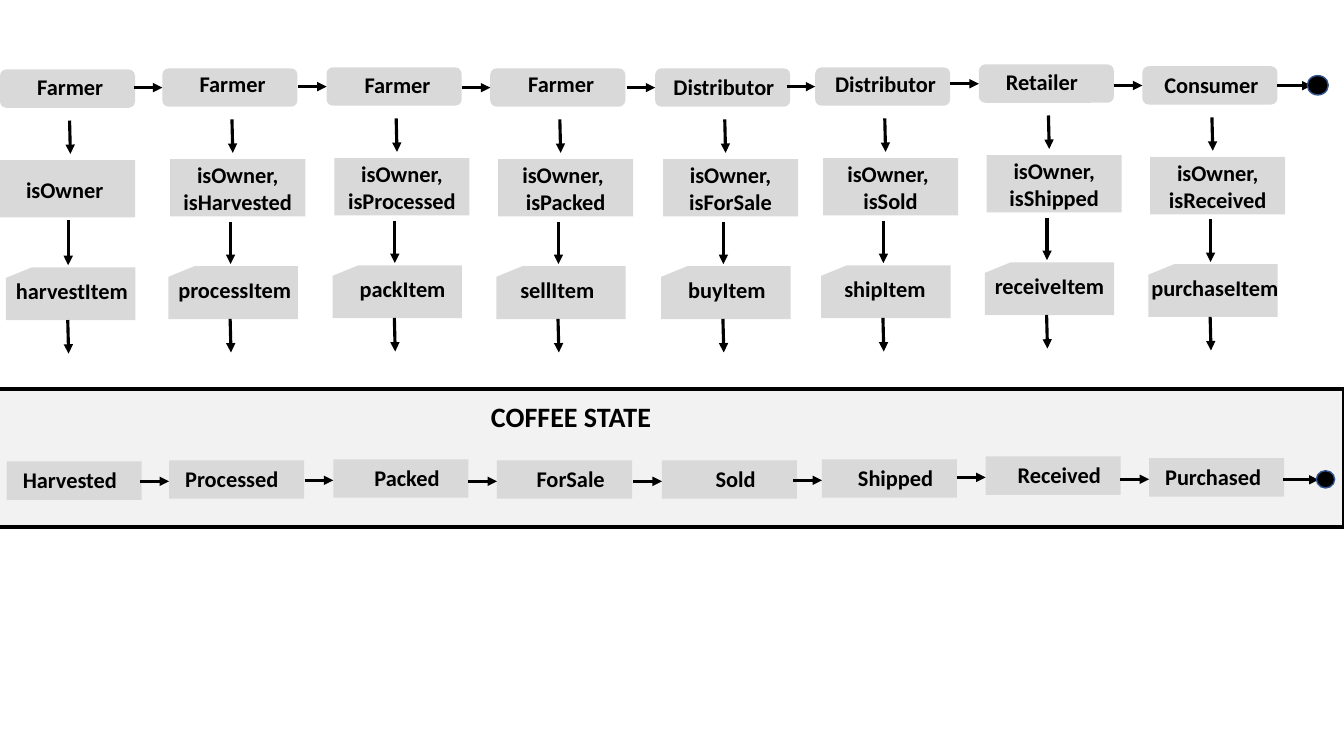
from pptx import Presentation
from pptx.util import Pt
from pptx.dml.color import RGBColor as RGB
from pptx.enum.shapes import MSO_SHAPE as Kind, MSO_CONNECTOR as Link
from pptx.enum.text import PP_ALIGN as Align, MSO_ANCHOR as Anchor
from pptx.oxml.ns import qn
from lxml.etree import SubElement as Sub

# Content: role, guard, action, state
steps = [
    ("Farmer", "isOwner", "harvestItem", "Harvested"),
    ("Farmer", "isOwner, isHarvested", "processItem", "Processed"),
    ("Farmer", "isOwner, isProcessed", "packItem", "Packed"),
    ("Farmer", "isOwner, \nisPacked", "sellItem", "ForSale"),
    ("Distributor", "isOwner, isForSale", "buyItem", "Sold"),
    ("Distributor", "isOwner, \nisSold", "shipItem", "Shipped"),
    ("Retailer", "isOwner, isShipped", "receiveItem", "Received"),
    ("Consumer", "isOwner, isReceived", "purchaseItem", "Purchased"),
]
title = "COFFEE STATE"

# Placement per step: column origin, role text shift, action text shift
spots = [
    ((0, 49.6), (19.5, -0.7), 4.3),
    ((116, 48.8), (19.5, -2), 4.3),
    ((233.3, 48.1), (20, -0.7), 16.5),
    ((350.2, 48.8), (20, -2), 14.4),
    ((468, 48.8), (6, 0), 16.5),
    ((582.3, 48.1), (7.2, -1.4), 13.7),
    ((699.2, 46), (12.2, -0.7), 4.3),
    ((816, 47.3), (8.6, 0), -0.7),
]

theme = dict(font="Calibri", ink="000000", box="D9D9D9", panel="F2F2F2",
             rim="325491", body=16, head=20, rule=2.25, frame=3, edge=1)
wide, tall = 96.5, 27.4

deck = Presentation()
deck.slide_width, deck.slide_height = Pt(960), Pt(540)
page = deck.slides.add_slide(deck.slide_layouts[6])
items = page.shapes


def color(name):
    return RGB.from_string(theme[name])


def put(kind, x, y, w, h, fill="box", line=None, size=0):
    part = items.add_shape(kind, Pt(x), Pt(y), Pt(w), Pt(h))
    part.shadow.inherit = False
    part.fill.solid()
    part.fill.fore_color.rgb = color(fill)
    if line:
        part.line.color.rgb = color(line)
        part.line.width = Pt(size)
    else:
        part.line.fill.background()


def write(text, x, y, w, h, align=Align.LEFT, size="body", anchor=Anchor.TOP):
    frame = items.add_textbox(Pt(x), Pt(y), Pt(w), Pt(h)).text_frame
    frame.word_wrap = True
    frame.vertical_anchor = anchor
    frame.text = text
    look = dict(name=theme["font"], size=Pt(theme[size]), bold=True)
    for para in frame.paragraphs:
        para.alignment = align
        font = para.runs[0].font
        for key, value in look.items():
            setattr(font, key, value)
        font.color.rgb = color("ink")


def arrow(x1, y1, x2, y2):
    link = items.add_connector(Link.STRAIGHT, Pt(x1), Pt(y1), Pt(x2), Pt(y2))
    link.line.color.rgb = color("ink")
    link.line.width = Pt(theme["rule"])
    Sub(link.line._get_or_add_ln(), qn("a:tailEnd"), type="triangle")
    Sub(link._element.spPr, qn("a:effectLst"))


# State panel, running off the left edge
put(Kind.RECTANGLE, -72, 278, 1032, 98.5, "panel", "ink", theme["frame"])
write(title, 324.7, 281.5, 166.3, 31.7, Align.CENTER, "head")

# One column per step
for n, (step, spot) in enumerate(zip(steps, spots)):
    role, guard, action, state = step
    (x, y), (dx, dy), shift = spot
    first = n == 0
    inset = 0 if first else 5.6

    # Boxes
    put(Kind.ROUNDED_RECTANGLE, x, y, wide, tall)
    put(Kind.RECTANGLE, x + inset, y + 64.8, wide, 41)
    put(Kind.FLOWCHART_CARD, x + 4.3, y + 141.4, 92.4, 37.7)
    put(Kind.RECTANGLE, x + 4.8, y + 280, wide, tall)

    # Words
    write(role, x + dx, y + dy, wide, 26.6)
    write(guard, x + (-2 if first else inset), y + 62.6, wide, 46,
          Align.CENTER, anchor=Anchor.MIDDLE)
    write(action, x + shift, y + 145, 117.4, 26.6)
    side = Align.LEFT if n in (0, 1, 7) else Align.CENTER
    write(state, x + 9.2, y + 280, wide, 26.6, side)

    # Arrows down, then arrows in from the step before
    arrow(x + 49.7, y + 36.5, x + 50.3, y + 60.4)
    arrow(x + 48.7, y + (107.5 if first else 109.5), x + 48.7, y + 139.8)
    arrow(x + 48.4, y + 179, x + 49, y + 203)
    if not first:
        arrow(x - 20.3, y + 13.8, x, y + 13.8)
        arrow(x - 15.7, y + 295, x + 4.8, y + 295)

# End points of both flows
ends = [((912.3, 936.8, 61.2), (933.8, 54, 15, 13.8)),
        ((916.8, 941.8, 342.7), (940.3, 336.2, 13, 12.4))]
for (start, stop, level), dot in ends:
    arrow(start, level, stop, level)
    put(Kind.OVAL, *dot, "ink", "rim", theme["edge"])

deck.save("out.pptx")
